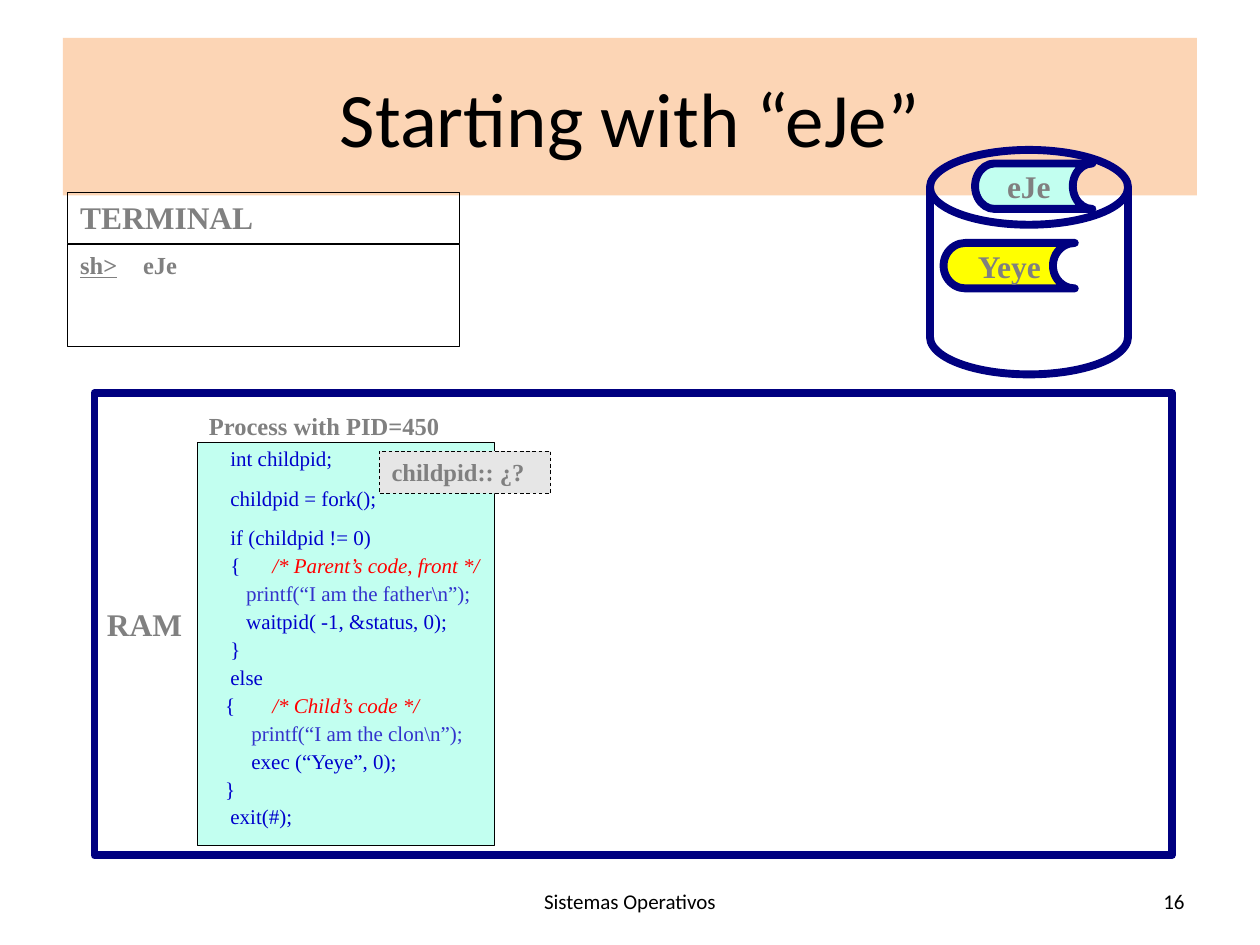
from lxml import etree
from pptx import Presentation
from pptx import util as u
from pptx.dml.color import RGBColor
from pptx.enum import dml, shapes, text
from pptx.oxml.ns import qn

COLORS = {
    "peach": "FCD5B5", "black": "000000", "navy": "000080", "gray": "808080",
    "yellow": "FFFF00", "mint": "C2FFF0", "silver": "E6E6E6",
    "code": "0000CC", "print": "3333CC", "comment": "FF0000",
}
SHAPES = shapes.MSO_SHAPE
ALIGN = text.PP_ALIGN
MIDDLE = text.MSO_ANCHOR.MIDDLE
TOP = text.MSO_ANCHOR.TOP


class SlideBuilder:
    sans = {"name": "Calibri", "color": "black"}
    label = {"name": "Times New Roman", "color": "gray", "bold": True}
    source = {"name": "Times New Roman", "color": "code", "size": 12}

    def __init__(self, prs):
        self.s = prs.slides.add_slide(prs.slide_layouts[6])

    def box(self, at, kind=SHAPES.RECTANGLE, fill=None, line=None, width=0.5, dash=None):
        sp = self.s.shapes.add_shape(kind, *map(u.Pt, at))
        sp.shadow.inherit = False
        if fill:
            sp.fill.solid()
            sp.fill.fore_color.rgb = RGBColor.from_string(COLORS[fill])
        else:
            sp.fill.background()
        if line:
            sp.line.color.rgb = RGBColor.from_string(COLORS[line])
            sp.line.width = u.Pt(width)
            sp.line.dash_style = dash
        else:
            sp.line.fill.background()
        return sp

    def frame(self, sp, anchor=TOP, wrap=True):
        tf = sp.text_frame
        tf.vertical_anchor = anchor
        tf.word_wrap = wrap
        return tf

    def run(self, p, words, style, **changes):
        r = p.add_run()
        r.text = words
        for key, value in {**style, **changes}.items():
            if key == "color":
                r.font.color.rgb = RGBColor.from_string(COLORS[value])
            else:
                setattr(r.font, key, u.Pt(value) if key == "size" else value)

    def put_text(self, sp, words, style, size, align=ALIGN.LEFT, anchor=TOP, wrap=True):
        p = self.frame(sp, anchor, wrap).paragraphs[0]
        p.alignment = align
        self.run(p, words, style, size=size)

    def caption(self, at, words, style, size, align=ALIGN.LEFT, anchor=TOP):
        sp = self.s.shapes.add_textbox(*map(u.Pt, at))
        self.put_text(sp, words, style, size, align, anchor)

    def tab(self, p, pos, indent=0):
        pPr = p._p.get_or_add_pPr()
        pPr.set("marL", "0")
        pPr.set("indent", str(u.Pt(indent)))
        tabs = etree.SubElement(pPr, qn("a:tabLst"))
        etree.SubElement(tabs, qn("a:tab"), pos=str(u.Pt(pos)), algn="l")

    def code(self, sp, lines):
        tf = self.frame(sp)
        for i, (indent, before, runs) in enumerate(lines):
            p = tf.paragraphs[0] if i == 0 else tf.add_paragraph()
            formats = {"alignment": ALIGN.LEFT, "line_spacing": 0.9,
                       "space_before": u.Pt(before)}
            for key, value in formats.items():
                setattr(p, key, value)
            self.tab(p, 27, indent)
            for words, color in runs:
                self.run(p, words, self.source, color=color, italic=color == "comment")


def main():
    prs = Presentation()
    prs.slide_width, prs.slide_height = u.Pt(720), u.Pt(540)
    b = SlideBuilder(prs)

    # Title and footer
    b.put_text(b.box((36, 21.6, 648, 90), fill="peach"), "Starting with “eJe”",
               b.sans, 44, ALIGN.CENTER, MIDDLE)
    b.caption((246, 500.4, 228, 28.8), "Sistemas Operativos", b.sans, 12, ALIGN.CENTER, MIDDLE)
    b.caption((516, 500.4, 168, 28.8), "16", b.sans, 12, ALIGN.RIGHT, MIDDLE)

    # Disk with its two program files
    border = {"line": "navy", "width": 4.5}
    file_kind = SHAPES.FLOWCHART_STORED_DATA
    yeye = b.box((539.2, 138.8, 75, 26), file_kind, "yellow", **border)
    b.put_text(yeye, "Yeye", b.label, 18, anchor=MIDDLE, wrap=False)
    b.box((531.4, 85.7, 113.2, 128.3), SHAPES.FLOWCHART_MAGNETIC_DISK, **border)
    eje = b.box((557.2, 93.4, 67, 26), file_kind, "mint", **border)
    b.put_text(eje, "eJe", b.label, 18, anchor=MIDDLE, wrap=False)

    # Terminal
    screen = b.box((38.7, 139.5, 224, 58.4), line="black", width=0.25)
    p = b.frame(screen).paragraphs[0]
    p.alignment = ALIGN.LEFT
    b.tab(p, 28)
    b.run(p, "sh>", b.label, size=14, underline=True)
    b.run(p, "\teJe", b.label, size=14)
    header = b.box((38.7, 109.8, 224, 29.1), line="black", width=0.25)
    b.put_text(header, "TERMINAL", b.label, 18)

    # Memory
    ram = b.box((54, 224.6, 615.6, 264.2), **border)
    b.put_text(ram, "RAM", b.label, 18, anchor=MIDDLE, wrap=False)

    # Process: indent, space before, coloured runs
    b.caption((112.3, 231.1, 166.3, 24.5), "Process with PID=450", b.label, 14)
    listing = b.box((112.6, 252.8, 170, 230.4), fill="mint", line="black")
    near, far = 3, 9.6
    b.code(listing, [
        (12, near, [("int childpid;", "code")]),
        (12, far, [("childpid = fork();", "code")]),
        (12, far, [("if (childpid != 0)", "code")]),
        (12, near, [("{\t", "code"), ("/* Parent’s code, front */", "comment")]),
        (21, near, [("printf(“I am the father\\n”);", "print")]),
        (21, near, [("waitpid( -1, &status, 0);", "code")]),
        (12, near, [("}", "code")]),
        (12, near, [("else", "code")]),
        (9, near, [("{\t", "code"), ("/* Child’s code */", "comment")]),
        (24, near, [("printf(“I am the clon\\n”);", "print")]),
        (24, near, [("exec (“Yeye”, 0);", "code")]),
        (9, near, [("}", "code")]),
        (12, near, [("exit(#);", "code")]),
    ])

    # Variable value
    variable = b.box((216.7, 257.8, 98, 24.2), fill="silver", line="black",
                     dash=dml.MSO_LINE.DASH)
    b.put_text(variable, "childpid:: ¿?", b.label, 14)

    prs.save("out.pptx")


if __name__ == "__main__":
    main()
